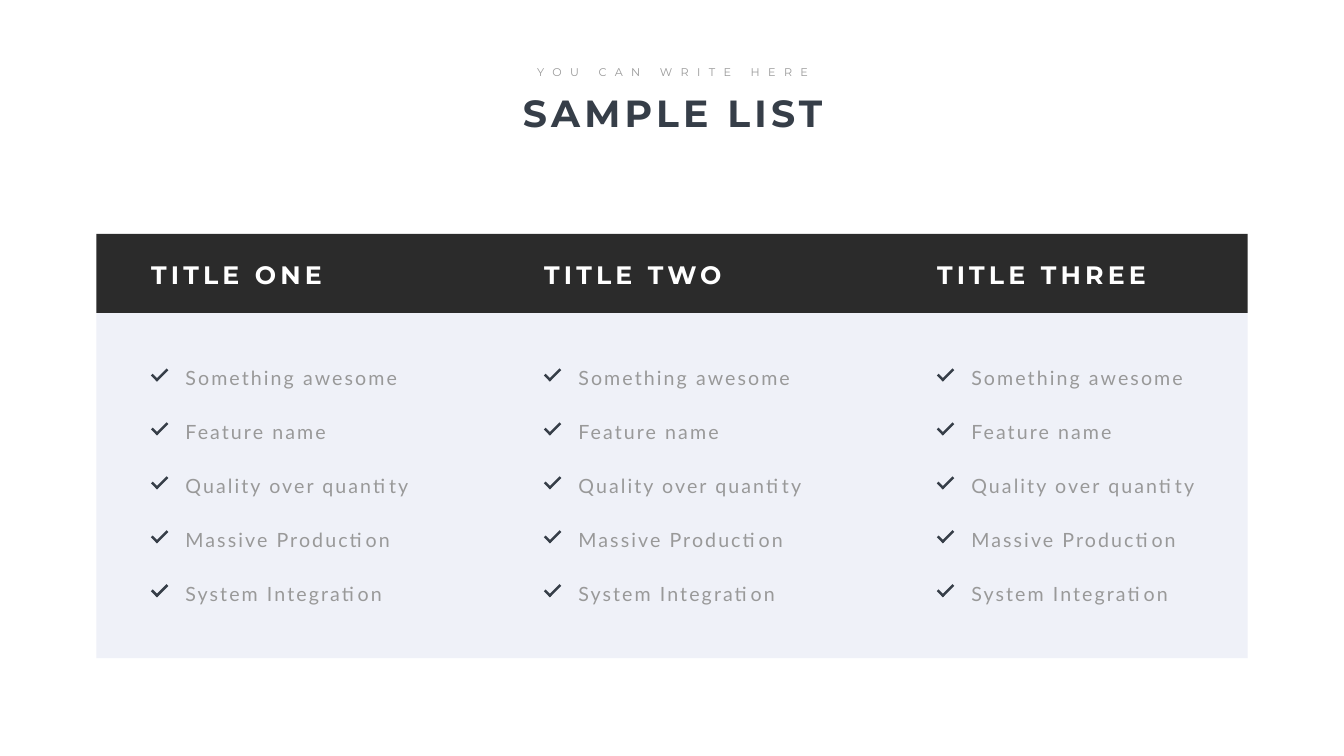
import pptx
import pptx.dml.color
import pptx.enum.shapes
import pptx.enum.text
import pptx.util

Pt = pptx.util.Pt
ALIGN = pptx.enum.text.PP_ALIGN

DARK = "363E48"
GREY = "999999"
HEADER_HEIGHT = 113
COLUMN_PITCH = 561.2
COLUMN_INSET = 71.3
ROW_PITCH = 77.04
TITLES = [("TITLE ONE", 316), ("TITLE TWO", 316), ("TITLE THREE", 352)]
FEATURES = [
    ("Something awesome", 319),
    ("Feature name", 319),
    ("Quality over quantity", 361.4),
    ("Massive Production", 310.3),
    ("System Integration", 310.3),
]


def color(hex_text):
    return pptx.dml.color.RGBColor.from_string(hex_text)


def add_text(shapes, text, left, top, width, height, *, size, font, fill,
             spacing, bold=False, align=ALIGN.LEFT, wrap=True):
    shape = shapes.add_textbox(Pt(left), Pt(top), Pt(width), Pt(height))
    frame = shape.text_frame
    frame.word_wrap = wrap
    frame.auto_size = pptx.enum.text.MSO_AUTO_SIZE.SHAPE_TO_FIT_TEXT
    paragraph = frame.paragraphs[0]
    paragraph.alignment = align
    run = paragraph.add_run()
    run.text = text
    run.font.size = Pt(size)
    run.font.name = font
    run.font.bold = bold
    run.font.color.rgb = color(fill)
    run.font._element.set("spc", str(spacing * 100))


def add_block(shapes, left, top, width, height, fill, rotation=0):
    shape = shapes.add_shape(pptx.enum.shapes.MSO_SHAPE.RECTANGLE,
                             Pt(left), Pt(top), Pt(width), Pt(height))
    shape.shadow.inherit = False
    shape.fill.solid()
    shape.fill.fore_color.rgb = color(fill)
    shape.line.fill.background()
    shape.rotation = rotation


def add_check(shapes, left, top):
    add_block(shapes, left, top + 3.8, 12.2, 3.6, DARK, 45)
    add_block(shapes, left + 4.6, top, 23, 3.6, DARK, 315)


def add_heading(slide, left, top, width):
    shapes = slide.shapes.add_group_shape().shapes
    add_text(shapes, "SAMPLE LIST", left, top + 36, width, 72.7, size=54,
             font="Montserrat", fill=DARK, spacing=6, bold=True,
             align=ALIGN.CENTER)
    subtitle_width = 416.2
    add_text(shapes, "YOU CAN WRITE HERE", left + (width - subtitle_width) / 2,
             top, subtitle_width, 26.6, size=16, font="Montserrat", fill=GREY,
             spacing=12, align=ALIGN.CENTER, wrap=False)


def add_features(shapes, left, top):
    for row, (feature, width) in enumerate(FEATURES):
        row_top = top + row * ROW_PITCH
        add_text(shapes, feature, left + 49, row_top, width, 41, size=28,
                 font="Lato", fill=GREY, spacing=3)
        add_check(shapes, left + 6.2, row_top + 14.8)


def add_list_panel(slide, left, top, width, height):
    shapes = slide.shapes.add_group_shape().shapes
    body_top = top + HEADER_HEIGHT
    add_block(shapes, left, body_top, width, height - HEADER_HEIGHT, "EFF1F8")
    add_block(shapes, left, top, width, HEADER_HEIGHT, "2B2B2B")
    for column, (title, title_width) in enumerate(TITLES):
        column_left = left + COLUMN_INSET + column * COLUMN_PITCH
        add_text(shapes, title, column_left, top + 33.1, title_width, 51.1,
                 size=36, font="Montserrat", fill="FFFFFF", spacing=6,
                 bold=True)
        add_features(shapes, column_left, body_top + 72)


def main():
    presentation = pptx.Presentation()
    presentation.slide_width = Pt(1919.52)
    presentation.slide_height = Pt(1080)
    slide = presentation.slides.add_slide(presentation.slide_layouts[6])
    add_heading(slide, 517, 89.3, 887.8)
    add_list_panel(slide, 137.5, 334.1, 1644.5, 606.2)
    presentation.save("out.pptx")


if __name__ == "__main__":
    main()
